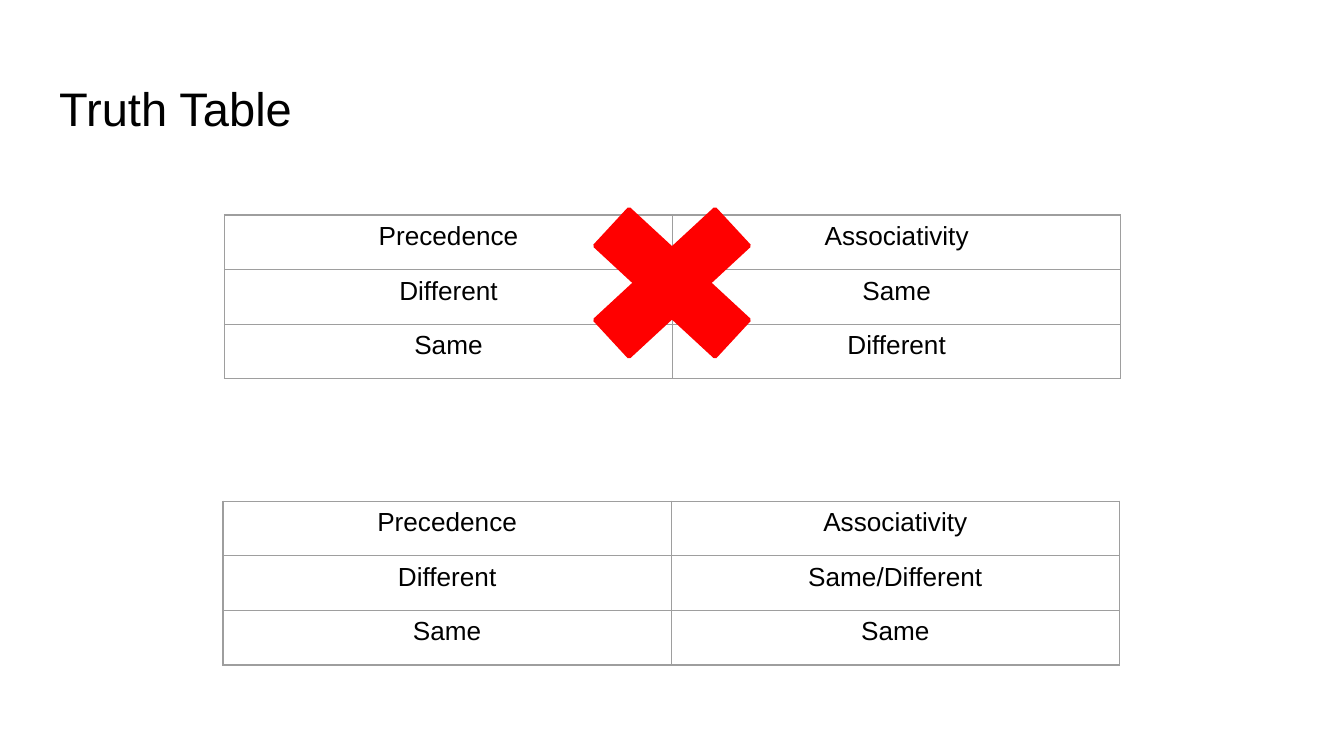
from dataclasses import dataclass

from lxml.etree import SubElement
from pptx import Presentation
from pptx.dml.color import RGBColor as RGB
from pptx.enum.shapes import MSO_SHAPE as Shape
from pptx.enum.text import MSO_ANCHOR as Anchor, PP_ALIGN as Align
from pptx.oxml.ns import qn
from pptx.util import Inches, Pt


@dataclass(frozen=True)
class Theme:
    font: str = "Arial"
    text: str = "000000"
    background: str = "FFFFFF"
    border: str = "9E9E9E"
    cross: str = "FF0000"
    title_size: float = 25.2
    cell_size: float = 14
    border_width: float = 0.75
    cross_width: float = 2


THEME = Theme()


def box_lengths(box):
    return [Inches(v) for v in box]


def write_text(tf, text, size, color=THEME.text, align=Align.LEFT):
    p = tf.paragraphs[0]
    p.alignment = align
    r = p.add_run()
    r.text = text
    r.font.name = THEME.font
    r.font.size = Pt(size)
    r.font.color.rgb = RGB.from_string(color)


def set_borders(cell):
    tc_pr = cell._tc.get_or_add_tcPr()
    for i, side in enumerate(("lnL", "lnR", "lnT", "lnB")):
        ln = tc_pr.makeelement(qn("a:" + side), {"w": str(Pt(THEME.border_width))})
        fill = SubElement(ln, qn("a:solidFill"))
        SubElement(fill, qn("a:srgbClr"), val=THEME.border)
        tc_pr.insert(i, ln)  # borders precede the cell fill


def add_title(s, box, text):
    title = s.shapes.title
    title.left, title.top, title.width, title.height = box_lengths(box)
    tf = title.text_frame
    tf.word_wrap = True
    tf.vertical_anchor = Anchor.TOP
    tf.margin_left = tf.margin_right = Inches(0.1)
    tf.margin_top = tf.margin_bottom = Inches(0.1)
    write_text(tf, text, THEME.title_size)


def add_truth_table(s, box, rows):
    left, top, width, height = box_lengths(box)
    frame = s.shapes.add_table(len(rows), len(rows[0]), left, top, width, height)
    table = frame.table
    table.first_row = table.horz_banding = False
    for row, values in zip(table.rows, rows):
        for cell, value in zip(row.cells, values):
            cell.fill.background()
            cell.vertical_anchor = Anchor.TOP
            write_text(cell.text_frame, value, THEME.cell_size, align=Align.CENTER)
            set_borders(cell)


def add_cross(s, box):
    sp = s.shapes.add_shape(Shape.MATH_MULTIPLY, *box_lengths(box))
    sp.shadow.inherit = False
    sp.fill.solid()
    sp.fill.fore_color.rgb = RGB.from_string(THEME.cross)
    sp.line.color.rgb = RGB.from_string(THEME.cross)
    sp.line.width = Pt(THEME.cross_width)
    SubElement(sp.line._get_or_add_ln(), qn("a:round"))


HEADER = ("Precedence", "Associativity")
WRONG_ROWS = [HEADER, ("Different", "Same"), ("Same", "Different")]
RIGHT_ROWS = [HEADER, ("Different", "Same/Different"), ("Same", "Same")]


def build_slide(prs):
    s = prs.slides.add_slide(prs.slide_layouts[5])
    s.background.fill.solid()
    s.background.fill.fore_color.rgb = RGB.from_string(THEME.background)
    # Title
    add_title(s, (0.34, 0.49, 9.32, 0.63), "Truth Table")
    # Wrong table above, right table below
    add_truth_table(s, (1.67, 1.6, 6.67, 1.22), WRONG_ROWS)
    add_truth_table(s, (1.66, 3.73, 6.67, 1.22), RIGHT_ROWS)
    # Cross over the wrong table
    add_cross(s, (4.14, 1.31, 1.72, 1.59))


# Widescreen, 16:9
prs = Presentation()
prs.slide_width = Inches(10)
prs.slide_height = Inches(10 * 9 / 16)
build_slide(prs)
prs.save("out.pptx")
